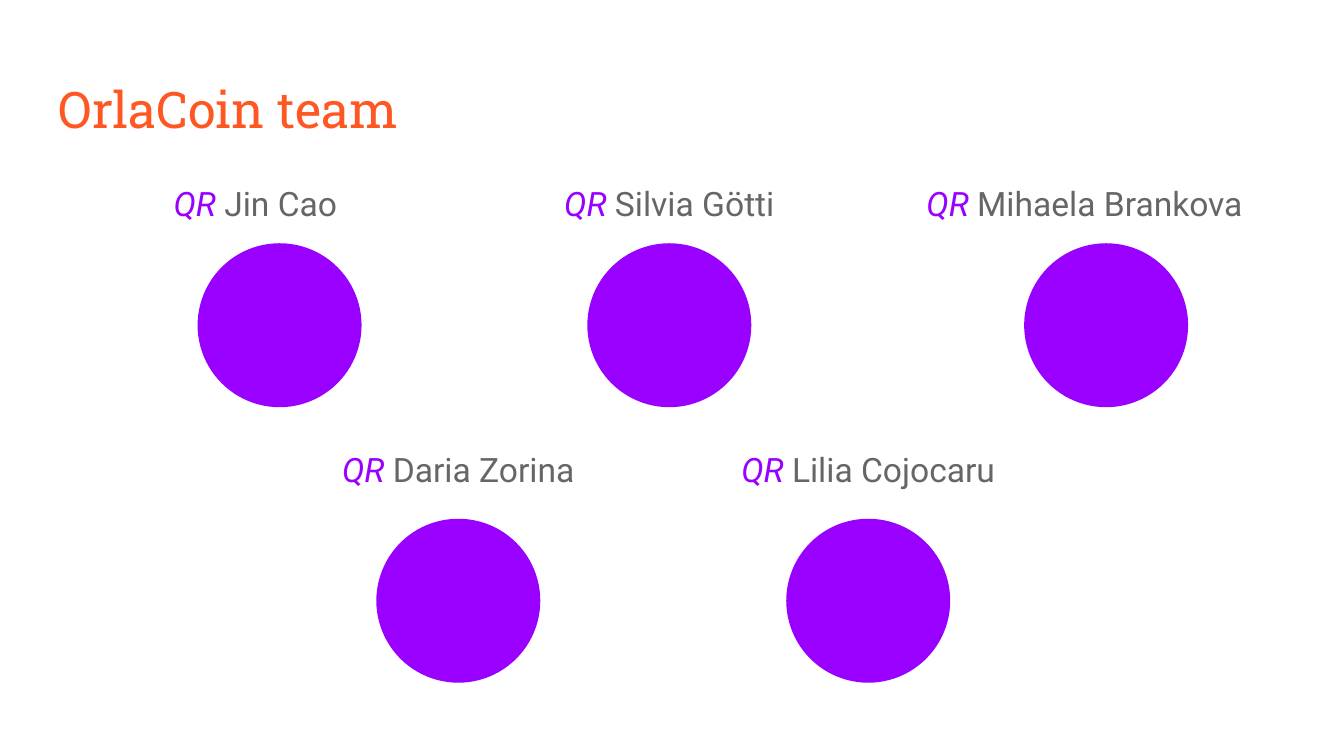
"""Build the team slide: a title and five named members, each with a round marker."""
from dataclasses import dataclass

from pptx import Presentation
from pptx.dml.color import RGBColor
from pptx.enum.shapes import MSO_SHAPE as Shape
from pptx.enum.text import MSO_ANCHOR as Anchor, PP_ALIGN as Align
from pptx.util import Inches, Pt


@dataclass(frozen=True)
class Theme:
    orange: RGBColor = RGBColor(0xFF, 0x57, 0x22)
    purple: RGBColor = RGBColor(0x99, 0x00, 0xFF)
    grey: RGBColor = RGBColor(0x66, 0x66, 0x66)
    heading_font: str = "Roboto Slab"
    body_font: str = "Roboto"
    heading_size: Pt = Pt(27)
    body_size: Pt = Pt(18)


def add_frame(slide, left, top, width, height):
    frame = slide.shapes.add_textbox(Inches(left), Inches(top), Inches(width), Inches(height)).text_frame
    frame.word_wrap = True
    frame.margin_left = frame.margin_right = Inches(0.1)
    frame.margin_top = frame.margin_bottom = Inches(0.1)
    return frame


def add_run(paragraph, text, font, size, color, italic=False):
    run = paragraph.add_run()
    run.text = text
    run.font.name = font
    run.font.size = size
    run.font.color.rgb = color
    run.font.italic = italic


theme = Theme()
deck = Presentation()
deck.slide_width = Inches(10)
deck.slide_height = deck.slide_width * 9 // 16
slide = deck.slides.add_slide(deck.slide_layouts[6])

heading = add_frame(slide, 0.34, 0.49, 9.32, 0.63)
heading.vertical_anchor = Anchor.MIDDLE
add_run(heading.paragraphs[0], "OrlaCoin team", theme.heading_font, theme.heading_size, theme.orange)

upper_name, lower_name = 1.26, 3.24
upper_marker, lower_marker = 1.81, 3.86
marker_size = Inches(1.22)

members = [
    ("Jin Cao", 0.44, upper_name),
    ("Lilia Cojocaru", 5, lower_name),
    ("Daria Zorina", 1.95, lower_name),
    ("Silvia Götti", 3.52, upper_name),
    ("Mihaela Brankova", 6.61, upper_name),
]
for member, left, top in members:
    name = add_frame(slide, left, top, 2.92, 1.02).paragraphs[0]
    name.alignment = Align.CENTER
    add_run(name, "QR ", theme.body_font, theme.body_size, theme.purple, italic=True)
    add_run(name, member, theme.body_font, theme.body_size, theme.grey)

markers = [
    (1.47, upper_marker),
    (4.37, upper_marker),
    (7.62, upper_marker),
    (5.85, lower_marker),
    (2.8, lower_marker),
]
for left, top in markers:
    marker = slide.shapes.add_shape(Shape.OVAL, Inches(left), Inches(top), marker_size, marker_size)
    marker.shadow.inherit = False
    marker.fill.solid()
    marker.fill.fore_color.rgb = theme.purple
    marker.line.fill.background()

deck.save("out.pptx")
